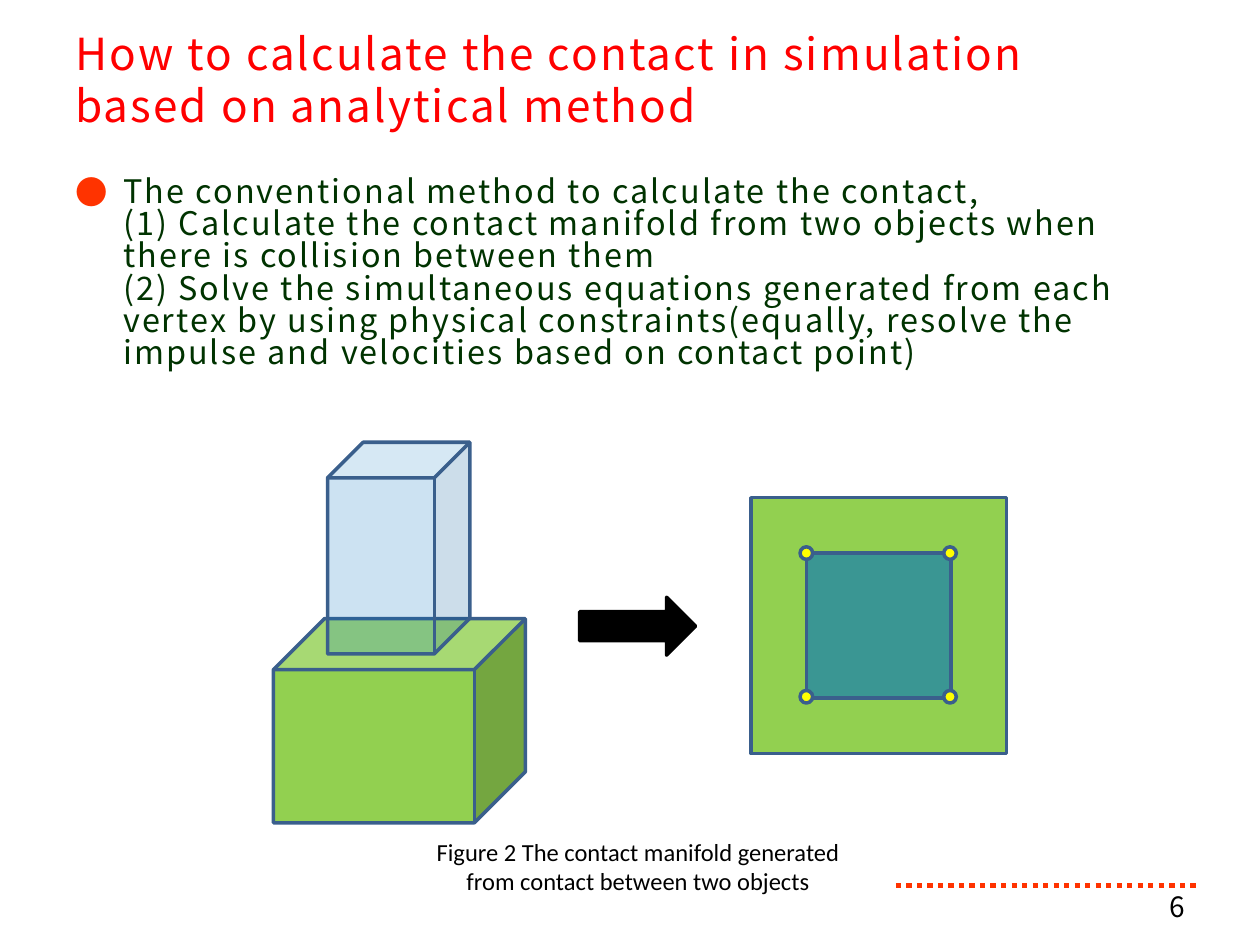
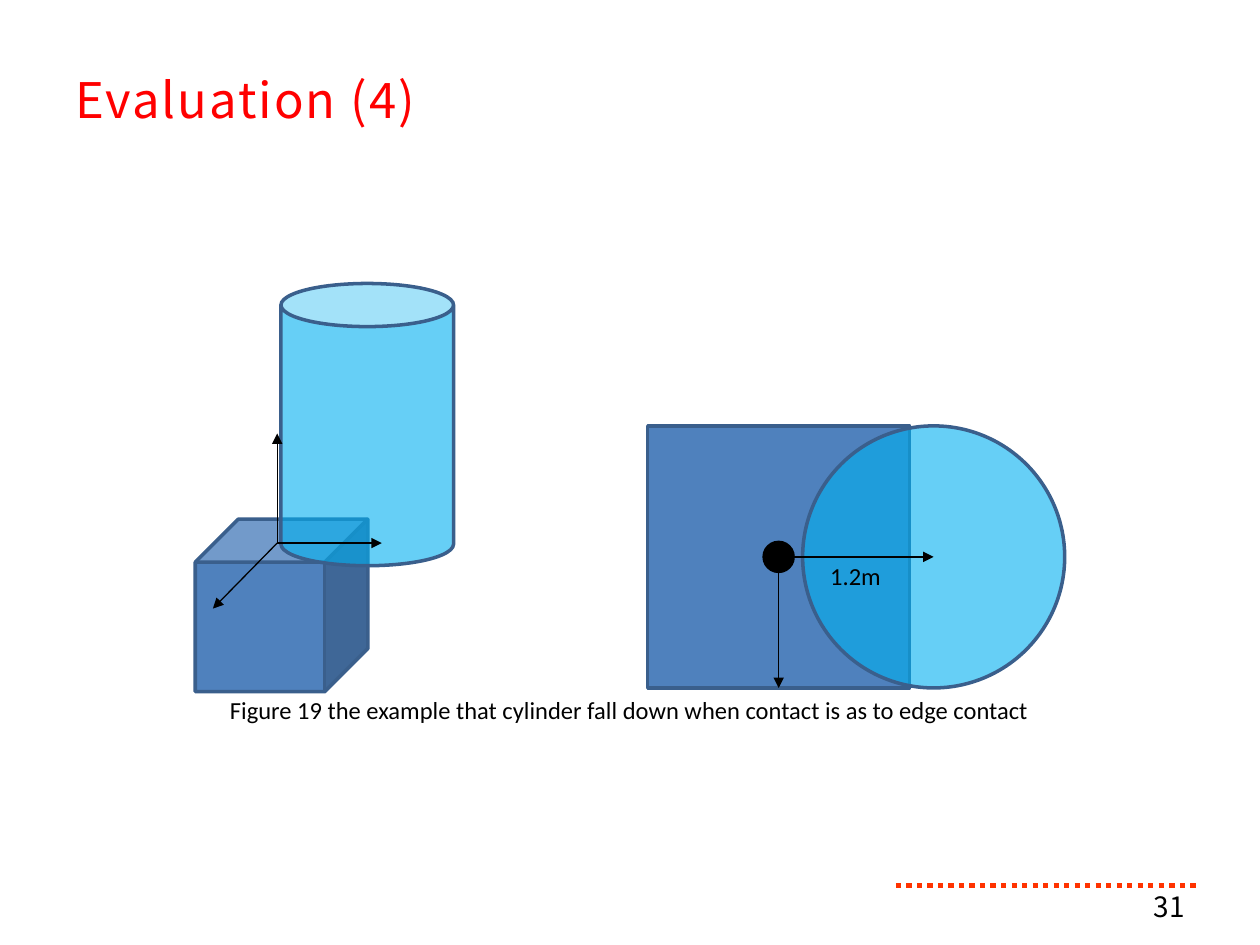
from dataclasses import dataclass
from itertools import product

from lxml import etree
from pptx import Presentation
from pptx.dml.color import RGBColor
from pptx.enum.dml import MSO_LINE
from pptx.enum.shapes import MSO_CONNECTOR, MSO_SHAPE
from pptx.enum.text import MSO_ANCHOR, PP_ALIGN
from pptx.oxml.ns import qn
from pptx.util import Inches, Pt

RECT, OVAL, CUBE, CAN = (MSO_SHAPE.RECTANGLE, MSO_SHAPE.OVAL,
                         MSO_SHAPE.CUBE, MSO_SHAPE.CAN)
RIGHT_ARROW = MSO_SHAPE.RIGHT_ARROW
STRAIGHT = MSO_CONNECTOR.STRAIGHT
DOTTED = MSO_LINE.ROUND_DOT
TOP, MIDDLE = MSO_ANCHOR.TOP, MSO_ANCHOR.MIDDLE
LEFT, CENTER, RIGHT = PP_ALIGN.LEFT, PP_ALIGN.CENTER, PP_ALIGN.RIGHT
BOTTOM_SITE = 2


@dataclass(frozen=True)
class Theme:
    heading_font: str = "Noto Sans CJK JP"
    caption_font: str = "Calibri"
    title: str = "FF0000"
    accent: str = "FF3300"
    body: str = "003300"
    ink: str = "000000"
    outline: str = "3A5F8C"
    green: str = "92D050"
    glass: str = "0070C0"
    block: str = "4F81BD"
    cylinder: str = "00B0F0"
    corner: str = "FFFF00"
    title_size: float = 28
    long_title_size: float = 25.2
    body_size: float = 18.5
    page_size: float = 16
    caption_size: float = 14
    tracking: float = 1.2
    outline_width: float = 2
    axis_width: float = 0.75
    rule_width: float = 3


T = Theme()
SLIDE_W, SLIDE_H = Inches(10), Inches(7.5)
CELL = SLIDE_W // 100  # the slide is a grid of 100 columns by 75 rows


def grid(*cells):
    return [round(c * CELL) for c in cells]


def within(box, x, y, w, h):
    return box[0] + x, box[1] + y, w, h


def rgb(color):
    return RGBColor.from_string(color)


# ---- Building blocks ----
def add_text(s, box, text, size, font=T.caption_font, color=T.ink,
             align=LEFT, anchor=TOP, spacing=None, tracking=0):
    tf = s.shapes.add_textbox(*grid(*box)).text_frame
    tf.word_wrap = True
    tf.vertical_anchor = anchor
    tf.text = text
    p = tf.paragraphs[0]
    p.alignment = align
    if spacing:
        p.line_spacing = spacing
    for r in p.runs:
        r.font.name = font
        r.font.size = Pt(size)
        r.font.color.rgb = rgb(color)
        if tracking:
            r._r.get_or_add_rPr().set("spc", str(round(tracking * 100)))
    return p


def add_bullet(p, indent):
    pPr = p._p.get_or_add_pPr()
    pPr.set("marL", str(indent))
    pPr.set("indent", str(-indent))
    color = etree.SubElement(pPr, qn("a:buClr"))
    etree.SubElement(color, qn("a:srgbClr"), val=T.accent)
    etree.SubElement(pPr, qn("a:buFont"), typeface=T.heading_font)
    etree.SubElement(pPr, qn("a:buChar"), char="●")


def add_solid(s, kind, box, fill, opacity=100, line=T.outline):
    sp = s.shapes.add_shape(kind, *grid(*box))
    sp.shadow.inherit = False
    sp.fill.solid()
    sp.fill.fore_color.rgb = rgb(fill)
    if opacity < 100:
        clr = sp._element.spPr.find(qn("a:solidFill")).find(qn("a:srgbClr"))
        etree.SubElement(clr, qn("a:alpha"), val=str(opacity * 1000))
    sp.line.color.rgb = rgb(line)
    sp.line.width = Pt(T.outline_width)
    return sp


def add_line(s, start, end, color, width, arrow=False, dash=None):
    ln = s.shapes.add_connector(STRAIGHT, *grid(*start, *end))
    ln.line.color.rgb = rgb(color)
    ln.line.width = Pt(width)
    if dash:
        ln.line.dash_style = dash
    spPr = ln._element.spPr
    if arrow:
        etree.SubElement(spPr.find(qn("a:ln")), qn("a:tailEnd"), type="triangle")
    etree.SubElement(spPr, qn("a:effectLst"))
    return ln


def add_axis(s, start, end):
    return add_line(s, start, end, T.ink, T.axis_width, arrow=True)


# ---- Shared frame ----
def add_frame(prs, title, page, title_top, title_size, title_spacing):
    s = prs.slides.add_slide(prs.slide_layouts[6])
    add_line(s, (71.1, 70.3), (95.3, 70.3), T.accent, T.rule_width, dash=DOTTED)
    add_text(s, (5, title_top, 90, 8.6), title, title_size, T.heading_font,
             T.title, anchor=MIDDLE, spacing=title_spacing, tracking=T.tracking)
    add_text(s, (71.7, 70.3, 23.3, 3.2), page, T.page_size, T.heading_font,
             align=RIGHT, anchor=MIDDLE)
    return s


def add_caption(s, box, text):
    add_text(s, box, text, T.caption_size, align=CENTER)


# ---- Figure regions ----
def stacked_boxes(s, box):
    add_solid(s, CUBE, within(box, 0, 14, 20, 16.2), T.green)
    add_solid(s, CUBE, within(box, 4.3, 0, 11.3, 16.8), T.glass, opacity=20)


def contact_manifold(s, box):
    side, inset, dot = 20.3, 4.4, 1
    contact = side - 2 * inset
    add_solid(s, RECT, within(box, 0, 0, side, side), T.green)
    add_solid(s, RECT, within(box, inset, inset, contact, contact), T.glass,
              opacity=60)
    ends = (inset - dot / 2, inset + contact - 0.6)
    for x, y in product(ends, ends):
        add_solid(s, OVAL, within(box, x, y, dot, dot), T.corner)


def cylinder_on_cube(s, box):
    add_solid(s, CUBE, within(box, 0, 18.7, 13.7, 13.7), T.block)
    add_solid(s, CAN, within(box, 6.8, 0, 13.7, 22.4), T.cylinder, opacity=60)
    # Axes from the middle of the cube's top face
    x, y = box[0] + 6.5, box[1] + 20.6
    for dx, dy in ((0, -8.7), (8.3, 0), (-5.1, 5.2)):
        add_axis(s, (x, y), (x + dx, y + dy))


def top_view(s, box):
    side, offset, dot = 20.8, 12.3, 2.3
    x, y = box[0] + side / 2, box[1] + side / 2
    square = add_solid(s, RECT, within(box, 0, 0, side, side), T.block)
    add_solid(s, OVAL, within(box, offset, 0, side, side), T.cylinder, opacity=60)
    add_axis(s, (x, y), (x + offset, y))
    add_axis(s, (x, y), (x, y + side / 2)).end_connect(square, BOTTOM_SITE)
    add_solid(s, OVAL, (x - dot / 2, y - dot / 2, dot, dot), T.ink, line=T.ink)
    add_text(s, within(box, 13.5, 10.2, 7.8, 3.4), "1.2m", T.caption_size)


# ---- Slides ----
def contact_slide(prs):
    s = add_frame(prs, "How to calculate the contact in simulation\v"
                  "based on analytical method", "6",
                  2.1, T.long_title_size, 0.99)
    p = add_text(
        s, (5, 13.6, 90, 20.9),
        "The conventional method to calculate the contact,\v"
        "(1) Calculate the contact manifold from two objects when there is "
        "collision between them\v"
        "(2) Solve the simultaneous equations generated from each vertex by "
        "using physical constraints(equally, resolve the impulse and "
        "velocities based on contact point)",
        T.body_size, T.heading_font, T.body, spacing=0.83, tracking=T.tracking)
    add_bullet(p, Inches(0.38))
    stacked_boxes(s, (21.7, 35.1))
    add_solid(s, RIGHT_ARROW, (46, 47.4, 9.2, 4.6), T.ink, line=T.ink)
    contact_manifold(s, (59.6, 39.5))
    add_caption(s, (32.3, 65.9, 36.7, 5.7),
                "Figure 2 The contact manifold generated from contact "
                "between two objects")


def evaluation_slide(prs):
    s = add_frame(prs, "Evaluation (4)", "31", 3.1, T.title_size, 1.2)
    top_view(s, (51.4, 33.8))
    cylinder_on_cube(s, (15.5, 22.5))
    add_caption(s, (15.7, 54.7, 68.5, 3.4),
                "Figure 19 the example that cylinder fall down when contact "
                "is as to edge contact")


def main():
    prs = Presentation()
    prs.slide_width, prs.slide_height = SLIDE_W, SLIDE_H
    contact_slide(prs)
    evaluation_slide(prs)
    prs.save("out.pptx")


if __name__ == "__main__":
    main()
